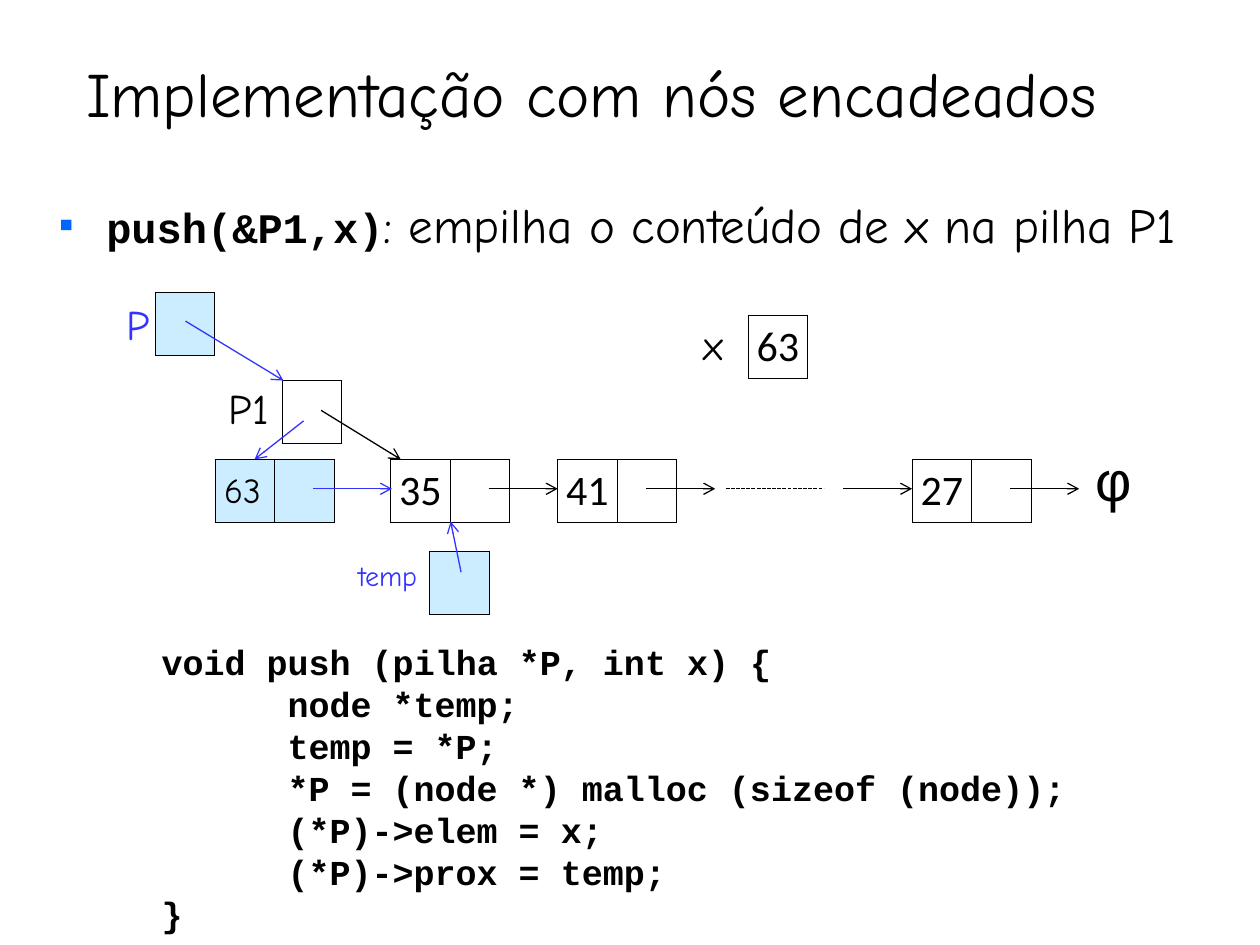
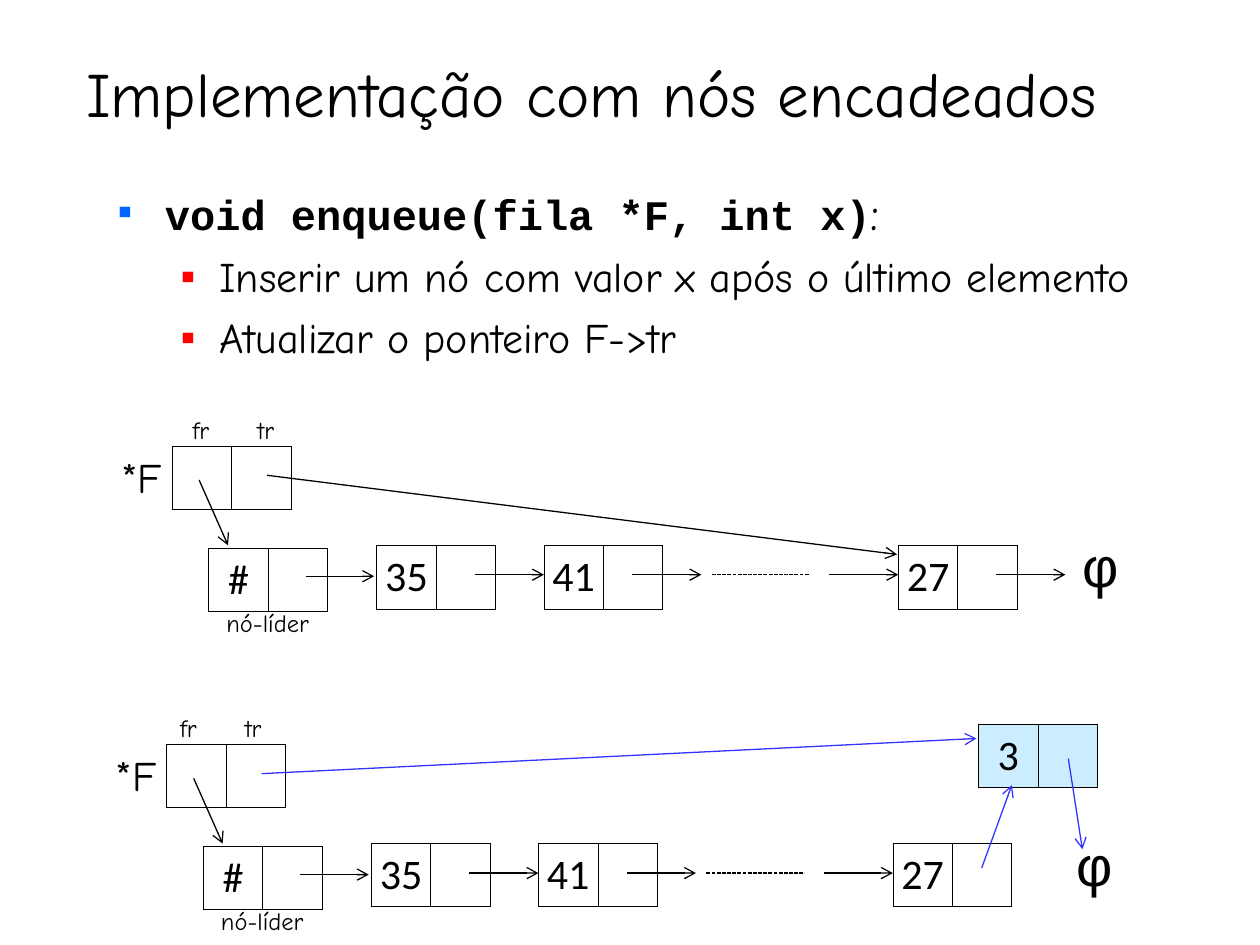
from lxml import etree
from pptx import Presentation
from pptx.dml.color import RGBColor
from pptx.enum.dml import MSO_LINE
from pptx.enum.shapes import MSO_CONNECTOR
from pptx.enum.text import MSO_ANCHOR, MSO_AUTO_SIZE, PP_ALIGN
from pptx.oxml.ns import qn
from pptx.util import Pt

STRAIGHT = MSO_CONNECTOR.STRAIGHT
SYS_DASH = MSO_LINE.SQUARE_DOT
BOTTOM, TOP = MSO_ANCHOR.BOTTOM, MSO_ANCHOR.TOP
LEFT, CENTER = PP_ALIGN.LEFT, PP_ALIGN.CENTER
NO_FIT = MSO_AUTO_SIZE.NONE

COLORS = {"black": "000000", "white": "FFFFFF", "new": "CCECFF",
          "new_line": "3333FF", "bullet": "0066FF", "sub_bullet": "FF0000"}
HAND, CODE, CELL, SYMBOL = "Comic Neue", "Courier New", "Calibri", "Arial"
CELL_W, CELL_H = 34, 36

# Content, all lengths in points
TITLE = "Implementação com nós encadeados"
TITLE_BOX = (42, 24, 630, 54)

# Each paragraph: level, then runs of (text, font, size, bold)
PUSH_BODY = [
    (0, [("push(&P1,x)", CODE, 24, True),
         (": empilha o conteúdo de x na pilha P1", HAND, 28, False)]),
]
ENQUEUE_BODY = [
    (0, [("void enqueue(fila *F, int x)", CODE, 24, True),
         (":", HAND, 28, False)]),
    (1, [("Inserir um nó com valor x após o último elemento", HAND, 24, False)]),
    (1, [("Atualizar o ponteiro F->tr", HAND, 24, False)]),
]
# Per level: left margin, hanging indent, space before, bullet colour
LEVELS = [(27, -27, 7, "bullet"), (58.2, -22.2, 6, "sub_bullet")]

PUSH_CODE = [
    "void push (pilha *P, int x) {",
    "\tnode *temp;",
    "\ttemp = *P;",
    "\t*P = (node *) malloc (sizeof (node));",
    "\t(*P)->elem = x;",
    "\t(*P)->prox = temp;",
    "}",
]

# Nodes: left, top, cell texts, fill
PUSH_NODES = [
    (427.5, 180, ["63"], "white"),
    (161.3, 217.5, [""], "white"),
    (88.7, 167, [""], "new"),
    (245.5, 315, [""], "new"),
    (123, 262.5, ["", ""], "new"),
]
# Labels: text, box, size, colour
PUSH_LABELS = [
    ("P1", (123.7, 215.2, 37.5, 36), 24, "black"),
    ("x", (395, 178.5, 26, 36), 24, "black"),
    ("P", (65.5, 167, 27.5, 36), 24, "new_line"),
    ("temp", (197.5, 315.5, 48, 27), 16, "new_line"),
    ("63", (121, 264.2, 49, 31.5), 20, "black"),
]
# Pointers: x1, y1, x2, y2, colour
PUSH_POINTERS = [
    (106, 183.5, 162, 217.5, "new_line"),
    (263.5, 327, 257.5, 298, "new_line"),
    (173.5, 240.5, 145.5, 262.5, "new_line"),
    (179, 279.3, 224, 279.3, "new_line"),
    (183.5, 234.5, 229, 262.5, "black"),
]
PUSH_CHAIN = (223.2, 262.5)

# Queues: chain position, left of "fr", target of tr, its colour, last node linked to φ
QUEUES = [
    ((215.3, 311.6), 103, (512.6, 316.8), "black", True),
    ((212.2, 482.1), 95.8, (558, 422), "new_line", False),
]
ENQUEUE_NODE = (559.2, 414, ["3", ""], "new")
ENQUEUE_POINTERS = [
    (610.5, 433.5, 618.5, 485.3, "new_line"),
    (561, 496, 578.2, 448.6, "new_line"),
]

# Chain of nodes, measured from the left of its first node
CHAIN_NODES = [("35", 0), ("41", 95.5), ("27", 298)]
CHAIN_ARROWS = [56, 146, 258.5]
LAST_ARROW, ARROW_LENGTH = 354, 39.5
ELLIPSIS = (191.5, 247.5)


def rgb(name):
    return RGBColor.from_string(COLORS[name])


def place(shape, left, top, width, height):
    shape.left, shape.top = Pt(left), Pt(top)
    shape.width, shape.height = Pt(width), Pt(height)


def set_font(font, name, size, color="black", bold=False):
    font.name, font.size, font.bold = name, Pt(size), bold
    font.color.rgb = rgb(color)


def add_label(slide, text, box, size, color="black", font=HAND):
    label = slide.shapes.add_textbox(*map(Pt, box)).text_frame
    label.word_wrap = False
    label.text = text
    set_font(label.paragraphs[0].font, font, size, color)


def add_border(cell):
    tc_pr = cell._tc.get_or_add_tcPr()
    for side in ("a:lnL", "a:lnR", "a:lnT", "a:lnB"):
        edge = etree.SubElement(tc_pr, qn(side), w=str(Pt(0.45)))
        fill = etree.SubElement(edge, qn("a:solidFill"))
        etree.SubElement(fill, qn("a:srgbClr"), val=COLORS["black"])


def add_node(slide, left, top, texts, fill="white"):
    frame = slide.shapes.add_table(1, len(texts), Pt(left), Pt(top),
                                   Pt(CELL_W * len(texts)), Pt(CELL_H))
    table = frame.table
    table.first_row = table.horz_banding = False
    for column, text in enumerate(texts):
        table.columns[column].width = Pt(CELL_W)
        cell = table.cell(0, column)
        cell.margin_left = cell.margin_right = Pt(0.7)
        cell.vertical_anchor = BOTTOM
        cell.text = text
        paragraph = cell.text_frame.paragraphs[0]
        paragraph.alignment = CENTER
        set_font(paragraph.font, CELL, 24)
        add_border(cell)
        cell.fill.solid()
        cell.fill.fore_color.rgb = rgb(fill)


def add_line(slide, x1, y1, x2, y2, color="black", dashed=False):
    """Draw a pointer with an arrowhead, or a dashed line without one."""
    link = slide.shapes.add_connector(STRAIGHT, Pt(x1), Pt(y1), Pt(x2), Pt(y2))
    link.line.color.rgb = rgb(color)
    link.line.width = Pt(0.75)
    properties = link._element.spPr
    if dashed:
        link.line.dash_style = SYS_DASH
    else:
        etree.SubElement(properties.find(qn("a:ln")), qn("a:tailEnd"), type="arrow")
    etree.SubElement(properties, qn("a:effectLst"))


def add_chain(slide, x, y, ends_in_null=True):
    for value, dx in CHAIN_NODES:
        add_node(slide, x + dx, y, [value, ""])
    middle = y + 16.8
    for dx in CHAIN_ARROWS + [LAST_ARROW] * ends_in_null:
        add_line(slide, x + dx, middle, x + dx + ARROW_LENGTH, middle)
    add_line(slide, x + ELLIPSIS[0], middle, x + ELLIPSIS[1], middle, dashed=True)
    add_label(slide, "φ", (x + 396, y - 11.2, 31, 46), 32, font=SYMBOL)


def add_queue(slide, chain, fr_left, tr_target, tr_color, ends_in_null):
    x, y = chain
    add_chain(slide, x, y, ends_in_null)
    # Leader node
    add_node(slide, x - 96, y + 1.6, ["#", ""])
    add_line(slide, x - 40.5, y + 17.7, x - 1.5, y + 17.7)
    add_label(slide, "nó-líder", (x - 93, y + 32.2, 70, 24.5), 14)
    # Queue header and its two pointers
    add_node(slide, x - 117, y - 56.5, ["", ""])
    add_label(slide, "*F", (x - 153, y - 57.4, 38, 36), 24)
    for column, field in enumerate(("fr", "tr")):
        add_label(slide, field, (fr_left + 37 * column, y - 78.2, 25, 24.5), 14)
    add_line(slide, x - 101.5, y - 37.3, x - 85, y)
    add_line(slide, x - 62.7, y - 40, *tr_target, tr_color)


def add_slide(prs, body_box, body_paragraphs):
    slide = prs.slides.add_slide(prs.slide_layouts[1])
    title, body = slide.placeholders
    place(title, *TITLE_BOX)
    title.text_frame.text = TITLE
    title.text_frame.vertical_anchor = BOTTOM
    title.text_frame.auto_size = NO_FIT
    title.text_frame.paragraphs[0].alignment = LEFT
    set_font(title.text_frame.paragraphs[0].font, HAND, 36)

    place(body, *body_box)
    frame = body.text_frame
    frame.auto_size, frame.vertical_anchor = NO_FIT, TOP
    for index, (level, runs) in enumerate(body_paragraphs):
        paragraph = frame.add_paragraph() if index else frame.paragraphs[0]
        margin, indent, before, bullet = LEVELS[level]
        paragraph.level = level
        paragraph.space_before = Pt(before if index else 0)
        p_pr = paragraph._p.get_or_add_pPr()
        p_pr.set("marL", str(Pt(margin)))
        p_pr.set("indent", str(Pt(indent)))
        color = etree.SubElement(p_pr, qn("a:buClr"))
        etree.SubElement(color, qn("a:srgbClr"), val=COLORS[bullet])
        etree.SubElement(p_pr, qn("a:buChar"), char="▪")
        for text, font, size, bold in runs:
            run = paragraph.add_run()
            run.text = text
            set_font(run.font, font, size, bold=bold)
    return slide


def add_code(slide, lines, box):
    frame = slide.shapes.add_textbox(*map(Pt, box)).text_frame
    frame.word_wrap = True
    for index, line in enumerate(lines):
        paragraph = frame.add_paragraph() if index else frame.paragraphs[0]
        paragraph.add_run().text = line
        paragraph.line_spacing = Pt(24)
        tabs = etree.SubElement(paragraph._p.get_or_add_pPr(), qn("a:tabLst"))
        etree.SubElement(tabs, qn("a:tab"), pos=str(Pt(72)), algn="l")
        set_font(paragraph.font, CODE, 20, bold=True)


def main():
    prs = Presentation()
    prs.slide_width, prs.slide_height = Pt(720), Pt(540)

    # Push onto the stack
    push = add_slide(prs, (26.5, 107.5, 690, 53), PUSH_BODY)
    add_code(push, PUSH_CODE, (85.2, 362.5, 561, 175.5))
    add_chain(push, *PUSH_CHAIN)
    for node in PUSH_NODES:
        add_node(push, *node)
    for label in PUSH_LABELS:
        add_label(push, *label)
    for pointer in PUSH_POINTERS:
        add_line(push, *pointer)

    # Enqueue: before and after
    enqueue = add_slide(prs, (60, 100, 660, 129), ENQUEUE_BODY)
    for queue in QUEUES:
        add_queue(enqueue, *queue)
    add_node(enqueue, *ENQUEUE_NODE)
    for pointer in ENQUEUE_POINTERS:
        add_line(enqueue, *pointer)

    prs.save("out.pptx")


if __name__ == "__main__":
    main()
